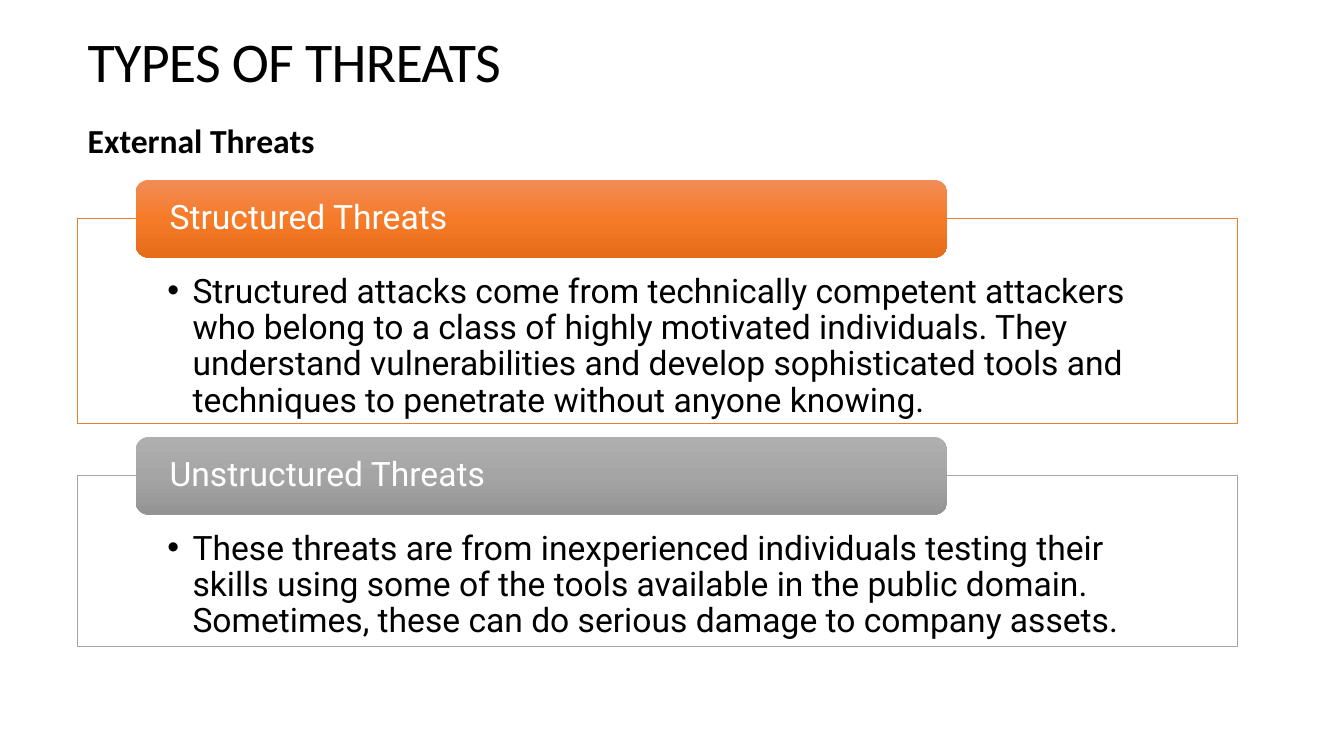
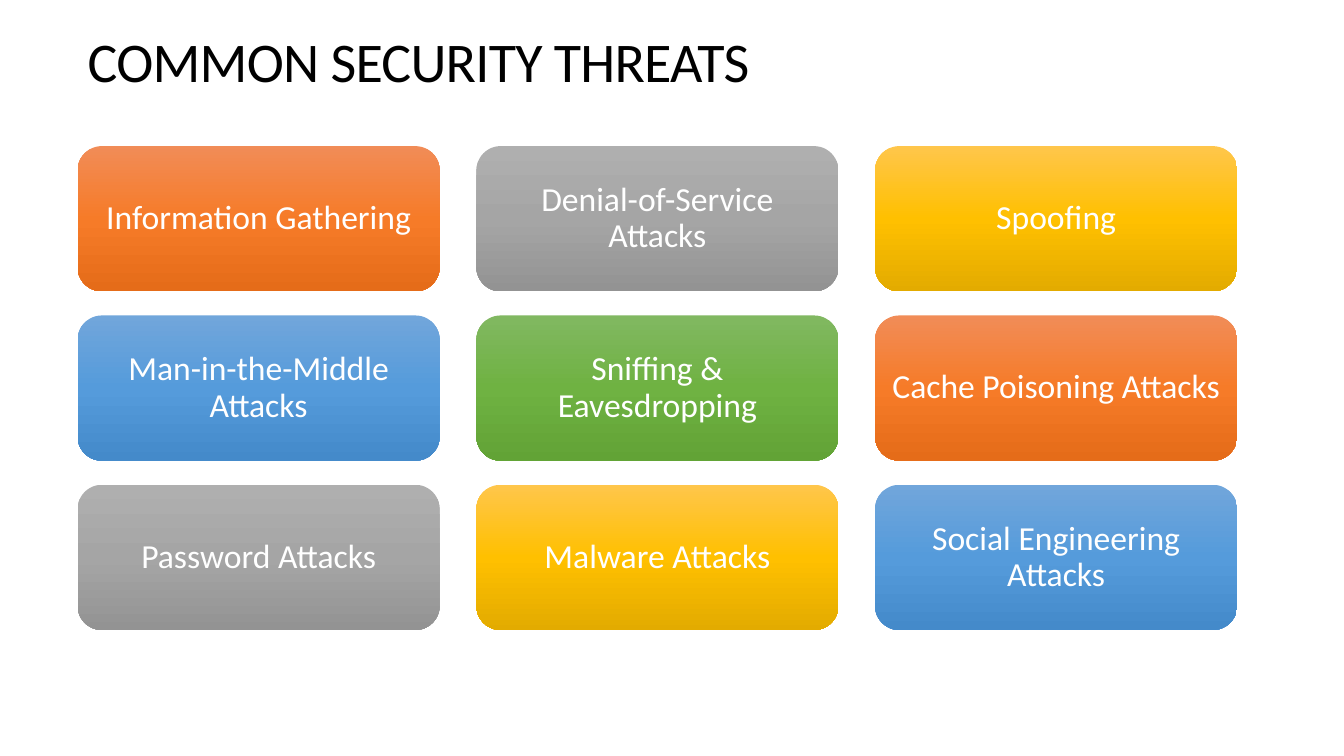
"""Build two slides on external threats and common security threats."""
from lxml import etree
from pptx import Presentation
from pptx import util as u
from pptx.dml.color import RGBColor
from pptx.enum import shapes, text
from pptx.oxml.ns import qn

COLORS = {"black": "000000", "white": "FFFFFF", "orange": "ED7D31", "gray": "A5A5A5"}
GRADIENTS = {
    "orange": ("F18C57", "F67B28", "E56C19"),
    "gray": ("AFAFAF", "A5A5A5", "939393"),
    "gold": ("FFC64B", "FFC000", "E3AB00"),
    "blue": ("71A6DB", "559BDB", "448ACA"),
    "green": ("81B861", "6FB242", "62A336"),
}
LEFT, CONTENT_WIDTH = 0.77, 11.5
MIDDLE, TOP = text.MSO_ANCHOR.MIDDLE, text.MSO_ANCHOR.TOP


def write(box, words, place, font="Calibri", size=24, color="black", spacing=0.9,
          align=text.PP_ALIGN.LEFT, anchor=MIDDLE, insets=(0.1, 0.05, 0.1, 0.05)):
    box.left, box.top, box.width, box.height = [u.Inches(length) for length in place]
    frame = box.text_frame
    frame.word_wrap = True
    frame.auto_size = text.MSO_AUTO_SIZE.NONE
    frame.vertical_anchor = anchor
    (frame.margin_left, frame.margin_top,
     frame.margin_right, frame.margin_bottom) = [u.Inches(inset) for inset in insets]
    para = frame.paragraphs[0]
    para.alignment, para.line_spacing = align, spacing
    para.space_before = u.Pt(0)
    span = para.add_run()
    span.text = words
    span.font.name, span.font.size = font, u.Pt(size)
    span.font.color.rgb = RGBColor.from_string(COLORS[color])
    return para, span


def add_tile(page, color):
    tile = page.shapes.add_shape(shapes.MSO_SHAPE.ROUNDED_RECTANGLE, 0, 0, 0, 0)
    tile.shadow.inherit = False
    tile.line.fill.background()
    tile.fill.gradient()
    tile.fill.gradient_angle = 270
    stops = next(tile.element.iter(qn("a:gsLst")))
    stops.clear()
    for position, value in zip((0, 50000, 100000), GRADIENTS[color]):
        stop = etree.SubElement(stops, qn("a:gs"), pos=str(position))
        etree.SubElement(stop, qn("a:srgbClr"), val=value)
    return tile


deck = Presentation()
deck.slide_width, deck.slide_height = u.Inches(13.33), u.Inches(7.5)

pages = []
for heading, layout in (("TYPES OF THREATS", 1), ("COMMON SECURITY THREATS", 5)):
    page = deck.slides.add_slide(deck.slide_layouts[layout])
    para, span = write(page.shapes.title, heading, (LEFT, 0.16, 11, 0.97),
                       size=40, spacing=0.85)
    span.font._element.set("spc", "-50")
    pages.append(page)
types_page, common_page = pages

para, span = write(types_page.placeholders[1], "External Threats", (LEFT, 1.14, 7.25, 0.6),
                   spacing=1.0, align=text.PP_ALIGN.JUSTIFY, anchor=TOP)
span.font.bold = True
para.space_after = u.Pt(12)
settings = para._p.get_or_add_pPr()
settings.set("marL", "0")
settings.set("indent", "0")
etree.SubElement(settings, qn("a:buNone"))

threat_types = (
    ("Structured Threats", "orange", 2.17, 2.03,
     "Structured attacks come from technically competent attackers who belong to a class "
     "of highly motivated individuals. They understand vulnerabilities and develop "
     "sophisticated tools and techniques to penetrate without anyone knowing."),
    ("Unstructured Threats", "gray", 4.72, 1.69,
     "These threats are from inexperienced individuals testing their skills using some of "
     "the tools available in the public domain. Sometimes, these can do serious damage to "
     "company assets."),
)
for name, color, top, height, description in threat_types:
    panel = types_page.shapes.add_shape(shapes.MSO_SHAPE.RECTANGLE, 0, 0, 0, 0)
    panel.shadow.inherit = False
    panel.fill.solid()
    panel.fill.fore_color.rgb = RGBColor.from_string(COLORS["white"])
    panel.line.color.rgb = RGBColor.from_string(COLORS[color])
    panel.line.width = u.Pt(0.5)
    para, span = write(panel, description, (LEFT, top, CONTENT_WIDTH, height), "Roboto",
                       anchor=TOP, insets=(0.89, 0.55, 0.89, 0.19))
    settings = para._p.get_or_add_pPr()
    settings.set("marL", str(u.Inches(0.25)))
    settings.set("indent", str(u.Inches(-0.25)))
    etree.SubElement(settings, qn("a:buFont"), typeface="Arial")
    etree.SubElement(settings, qn("a:buChar"), char="•")
    write(add_tile(types_page, color), name,
          (LEFT + CONTENT_WIDTH * 0.05, top - 0.385, CONTENT_WIDTH * 0.7, 0.77),
          "Roboto", color="white", insets=(0.3, 0, 0.3, 0))

threats = (
    ("Information Gathering", "orange"),
    ("Denial-of-Service Attacks", "gray"),
    ("Spoofing", "gold"),
    ("Man-in-the-Middle Attacks", "blue"),
    ("Sniffing & Eavesdropping", "green"),
    ("Cache Poisoning Attacks", "orange"),
    ("Password Attacks", "gray"),
    ("Malware Attacks", "gold"),
    ("Social Engineering Attacks", "blue"),
)
COLUMNS, TILE_WIDTH, TILE_HEIGHT, ROW_GAP = 3, 3.59, 1.44, 0.24
column_gap = (CONTENT_WIDTH - COLUMNS * TILE_WIDTH) / (COLUMNS - 1)
for index, (name, color) in enumerate(threats):
    row, column = divmod(index, COLUMNS)
    write(add_tile(common_page, color), name,
          (LEFT + column * (TILE_WIDTH + column_gap), 1.45 + row * (TILE_HEIGHT + ROW_GAP),
           TILE_WIDTH, TILE_HEIGHT),
          color="white", align=text.PP_ALIGN.CENTER, insets=(0.09,) * 4)

deck.save("out.pptx")
